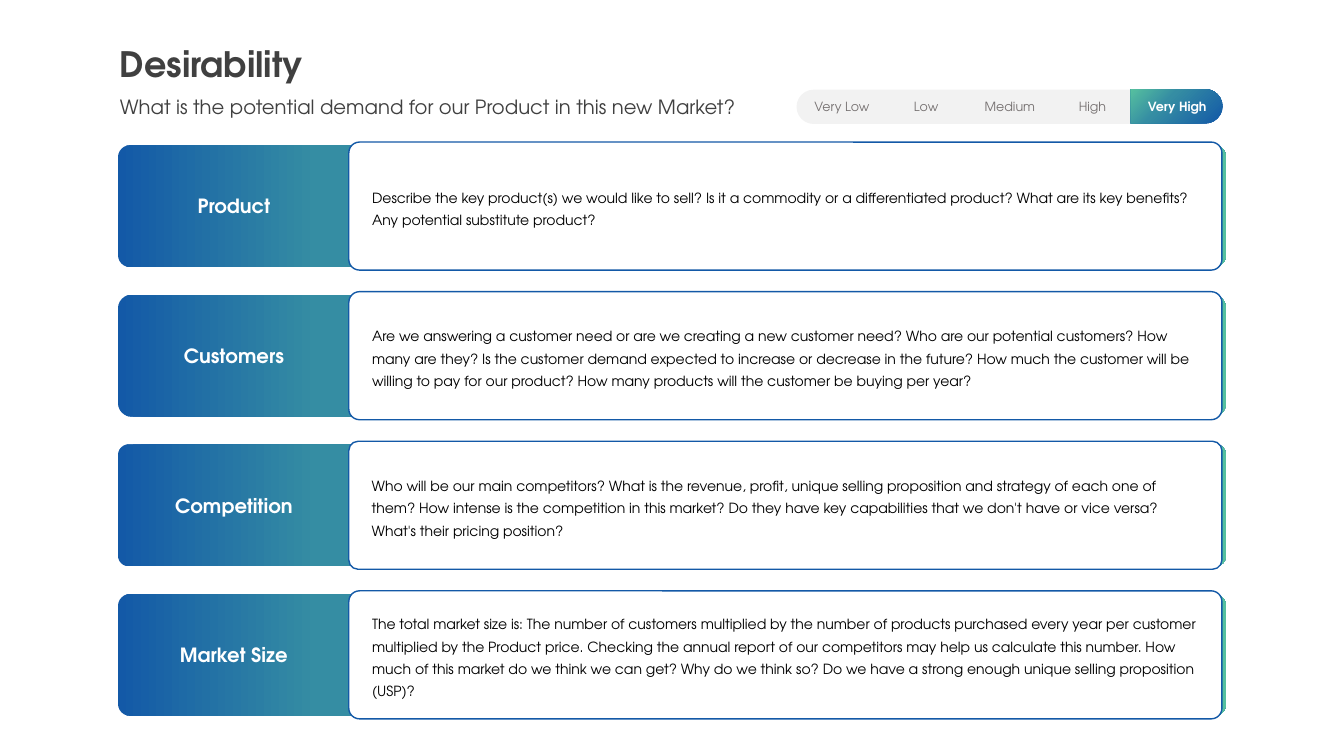
import copy
import pptx
import pptx.util
import pptx.dml.color
import pptx.enum.shapes
import pptx.enum.text
import pptx.oxml.ns

Inches = pptx.util.Inches
Pt = pptx.util.Pt
MSO = pptx.enum.shapes.MSO_SHAPE
ALIGN = pptx.enum.text.PP_ALIGN
ANCHOR = pptx.enum.text.MSO_ANCHOR

FONT = "TeX Gyre Adventor"
BLUE, TEAL, GREEN = "1359A7", "358DA3", "56C09F"
WHITE, BLACK, DARK, GREY, PALE = "FFFFFF", "000000", "404040", "767171", "F2F2F2"

TITLE = "Desirability"
SUBTITLE = "What is the potential demand for our Product in this new Market?"
ROWS = [
    ("Product", 0.099, 0.084,
     "Describe the key product(s) we would like to sell? Is it a commodity or a differentiated product? "
     "What are its key benefits? Any potential substitute product?"),
    ("Customers", 0.111, 0.084,
     "Are we answering a customer need or are we creating a new customer need? Who are our potential "
     "customers? How many are they? Is the customer demand expected to increase or decrease in the future? "
     "How much the customer will be willing to pay for our product? How many products will the customer be "
     "buying per year?"),
    ("Competition", 0.087, 0.073,
     "Who will be our main competitors? What is the revenue, profit, unique selling proposition and strategy "
     "of each one of them? How intense is the competition in this market? Do they have key capabilities that "
     "we don't have or vice versa? What's their pricing position?"),
    ("Market Size", 0.099, 0.084,
     "The total market size is: The number of customers multiplied by the number of products purchased every "
     "year per customer multiplied by the Product price. Checking the annual report of our competitors may "
     "help us calculate this number. How much of this market do we think we can get? Why do we think so? Do "
     "we have a strong enough unique selling proposition (USP)?"),
]
RATINGS = [("Very Low", 7.97, 0.76), ("Low", 8.96, 0.45), ("Medium", 9.66, 0.71),
           ("High", 10.6, 0.47), ("Very High", 11.28, 0.79)]
CHOSEN = "Very High"
ROW_TOP, ROW_PITCH = 1.41, 1.484


def rgb(value):
    return pptx.dml.color.RGBColor.from_string(value)


def write(sp, text, size=10, color=BLACK, bold=False, align=ALIGN.LEFT, spacing=None, wrap=True):
    tf = sp.text_frame
    tf.word_wrap = wrap
    p = tf.paragraphs[0]
    p.alignment = align
    if spacing:
        p.line_spacing = Pt(spacing)
    r = p.add_run()
    r.text = text
    r.font.name, r.font.size, r.font.bold = FONT, Pt(size), bold
    r.font.color.rgb = rgb(color)
    return tf


def add_text(box, text, **fmt):
    return write(slide.shapes.add_textbox(*map(Inches, box)), text, **fmt)


def add_block(kind, box, adjustments, fill=None, line=None):
    sp = slide.shapes.add_shape(kind, *map(Inches, box))
    sp.shadow.inherit = False
    for i, value in enumerate(adjustments):
        sp.adjustments[i] = value
    if fill:
        sp.fill.solid()
        sp.fill.fore_color.rgb = rgb(fill)
    if line:
        sp.line.color.rgb = rgb(line)
        sp.line.width = Pt(1)
    else:
        sp.line.fill.background()
    return sp


def fill_gradient(sp, middle, angle):
    sp.fill.gradient()
    sp.fill.gradient_angle = angle
    stops = sp._element.spPr.find(".//" + pptx.oxml.ns.qn("a:gsLst"))
    stops.append(copy.deepcopy(stops[0]))
    for stop, color, position in zip(sp.fill.gradient_stops, (BLUE, TEAL, GREEN), (0, middle, 1)):
        stop.color.rgb = rgb(color)
        stop.position = position


prs = pptx.Presentation()
prs.slide_width, prs.slide_height = Inches(13.33), Inches(7.5)
slide = prs.slides.add_slide(prs.slide_layouts[6])

for i, (label, band_round, card_round, question) in enumerate(ROWS):
    top = ROW_TOP + i * ROW_PITCH
    band = add_block(MSO.ROUNDED_RECTANGLE, (1.17, top + 0.03, 10.99, 1.21), [band_round])
    fill_gradient(band, 0.18, 0)
    card = add_block(MSO.ROUNDED_RECTANGLE, (3.46, top, 8.66, 1.27), [card_round], WHITE, BLUE)
    tf = write(card, question, spacing=16)
    tf.vertical_anchor = ANCHOR.MIDDLE
    tf.margin_left = tf.margin_right = Inches(0.2)
    add_text((1.43, top + 0.48, 1.78, 0.33), label, size=14, color=WHITE, bold=True,
             align=ALIGN.CENTER, spacing=16)

add_text((1.09, 0.37, 2.05, 0.52), TITLE, size=25, color=DARK, bold=True, wrap=False)
add_text((1.09, 0.89, 6.39, 0.34), SUBTITLE, size=14, color=DARK, wrap=False)

add_block(MSO.ROUNDED_RECTANGLE, (7.9, 0.89, 4.22, 0.34), [0.5], PALE)
marker = add_block(MSO.ROUND_2_SAME_RECTANGLE, (11.5, 0.6, 0.34, 0.91), [0.5, 0])
marker.rotation = 90
fill_gradient(marker, 0.62, 225)
for rating, left, width in RATINGS:
    chosen = rating == CHOSEN
    add_text((left, 0.93, width, 0.25), rating, size=9, color=WHITE if chosen else GREY,
             bold=chosen, align=ALIGN.CENTER, wrap=False)

prs.save("out.pptx")
